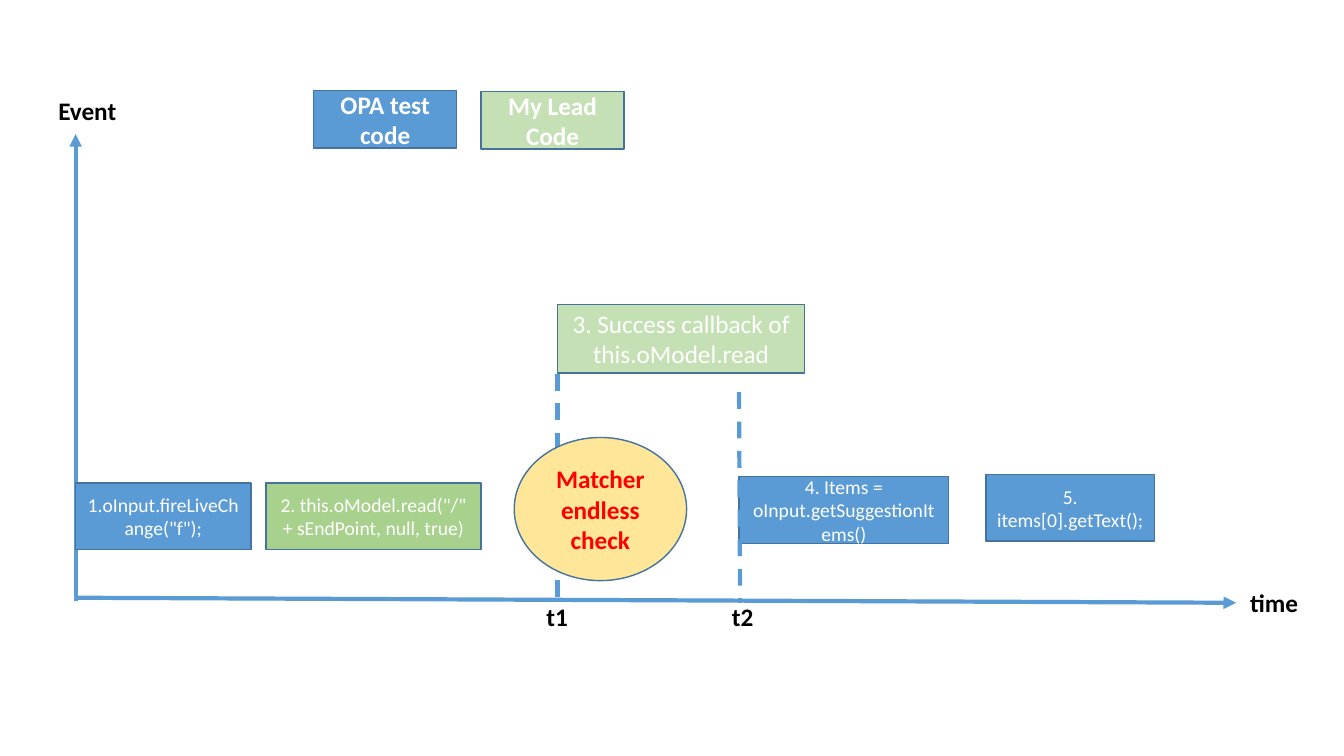
from lxml import etree
from pptx import Presentation
from pptx.dml.color import RGBColor
from pptx.enum.dml import MSO_LINE
from pptx.enum.shapes import MSO_CONNECTOR, MSO_SHAPE
from pptx.enum.text import MSO_ANCHOR, MSO_AUTO_SIZE, PP_ALIGN
from pptx.oxml.ns import qn
from pptx.util import Inches, Pt

RECT, OVAL = MSO_SHAPE.RECTANGLE, MSO_SHAPE.OVAL
STRAIGHT, DASH = MSO_CONNECTOR.STRAIGHT, MSO_LINE.DASH
CENTER, LEFT = PP_ALIGN.CENTER, PP_ALIGN.LEFT
MIDDLE, TOP = MSO_ANCHOR.MIDDLE, MSO_ANCHOR.TOP
FIT_SHAPE = MSO_AUTO_SIZE.SHAPE_TO_FIT_TEXT

BLUE, OUTLINE = "5B9BD5", "43739E"
GREEN, PALE_GREEN, YELLOW = "A9D18E", "C5E0B4", "FFE699"
WHITE, BLACK, RED = "FFFFFF", "000000", "FF0000"


def rgb(value):
    return RGBColor.from_string(value)


class TimelineSlide:
    """Holds the slide and the style shared by its elements."""

    font_name = "Calibri"

    def __init__(self, slide):
        self.shapes = slide.shapes

    def set_text(self, frame, text, color, size, bold, align, anchor):
        frame.word_wrap = True
        frame.vertical_anchor = anchor
        paragraph = frame.paragraphs[0]
        paragraph.alignment = align
        run = paragraph.add_run()
        run.text = text
        style = {"name": self.font_name, "size": Pt(size), "bold": bold}
        for key, value in style.items():
            setattr(run.font, key, value)
        run.font.color.rgb = rgb(color)

    def box(self, text, area, fill, size=14, bold=False, color=WHITE, kind=RECT):
        shape = self.shapes.add_shape(kind, *map(Inches, area))
        shape.shadow.inherit = False
        shape.fill.solid()
        shape.fill.fore_color.rgb = rgb(fill)
        shape.line.color.rgb = rgb(OUTLINE)
        shape.line.width = Pt(1)
        self.set_text(shape.text_frame, text, color, size, bold, CENTER, MIDDLE)

    def label(self, text, left, top, width):
        area = map(Inches, (left, top, width, 0.4))
        frame = self.shapes.add_textbox(*area).text_frame
        self.set_text(frame, text, BLACK, 18, True, LEFT, TOP)
        frame.auto_size = FIT_SHAPE

    def line(self, start, end, dashed=False):
        connector = self.shapes.add_connector(STRAIGHT, *map(Inches, start + end))
        connector.line.color.rgb = rgb(BLUE)
        connector.line.width = Pt(3)
        properties = connector.element.spPr
        if dashed:
            connector.line.dash_style = DASH
        else:
            outline = properties.find(qn("a:ln"))
            etree.SubElement(outline, qn("a:tailEnd"), type="triangle")
        etree.SubElement(properties, qn("a:effectLst"))


def main():
    deck = Presentation()
    deck.slide_width, deck.slide_height = Inches(13.33), Inches(7.5)
    timeline = TimelineSlide(deck.slides.add_slide(deck.slide_layouts[6]))

    # Axes
    timeline.line((0.75, 5.93), (12.26, 5.98))
    timeline.line((0.75, 5.96), (0.75, 1.33))

    # Calls in order of time
    calls = [
        ('1.oInput.fireLiveChange("f");', 0.75, 4.79, 1.74, BLUE),
        ('2. this.oModel.read("/" + sEndPoint, null, true)', 2.64, 4.79, 2.13, GREEN),
        ("4. Items = oInput.getSuggestionItems()", 7.33, 4.73, 2.08, BLUE),
        ("5. items[0].getText();", 9.78, 4.71, 1.67, BLUE),
    ]
    for text, left, top, width, fill in calls:
        timeline.box(text, (left, top, width, 0.66), fill)
    timeline.box("3. Success callback of this.oModel.read",
                 (5.53, 3.02, 2.45, 0.68), PALE_GREEN, size=18)

    # Axis names
    timeline.label("time", 12.3, 5.78, 1.18)
    timeline.label("Event", 0.48, 0.9, 1.33)

    # Moments t1 and t2
    timeline.line((5.53, 3.71), (5.53, 5.96), dashed=True)
    timeline.line((7.33, 3.89), (7.34, 5.98), dashed=True)
    timeline.label("t1", 5.32, 5.92, 0.45)
    timeline.label("t2", 7.16, 5.92, 0.67)

    # Legend
    timeline.box("OPA test code", (3.11, 0.9, 1.42, 0.57), BLUE, size=18, bold=True)
    timeline.box("My Lead Code", (4.77, 0.91, 1.42, 0.57), PALE_GREEN, size=18, bold=True)

    # Waiting loop over t1
    timeline.box("Matcher endless check", (5.1, 4.34, 1.71, 1.42), YELLOW,
                 size=18, bold=True, color=RED, kind=OVAL)

    deck.save("out.pptx")


if __name__ == "__main__":
    main()
